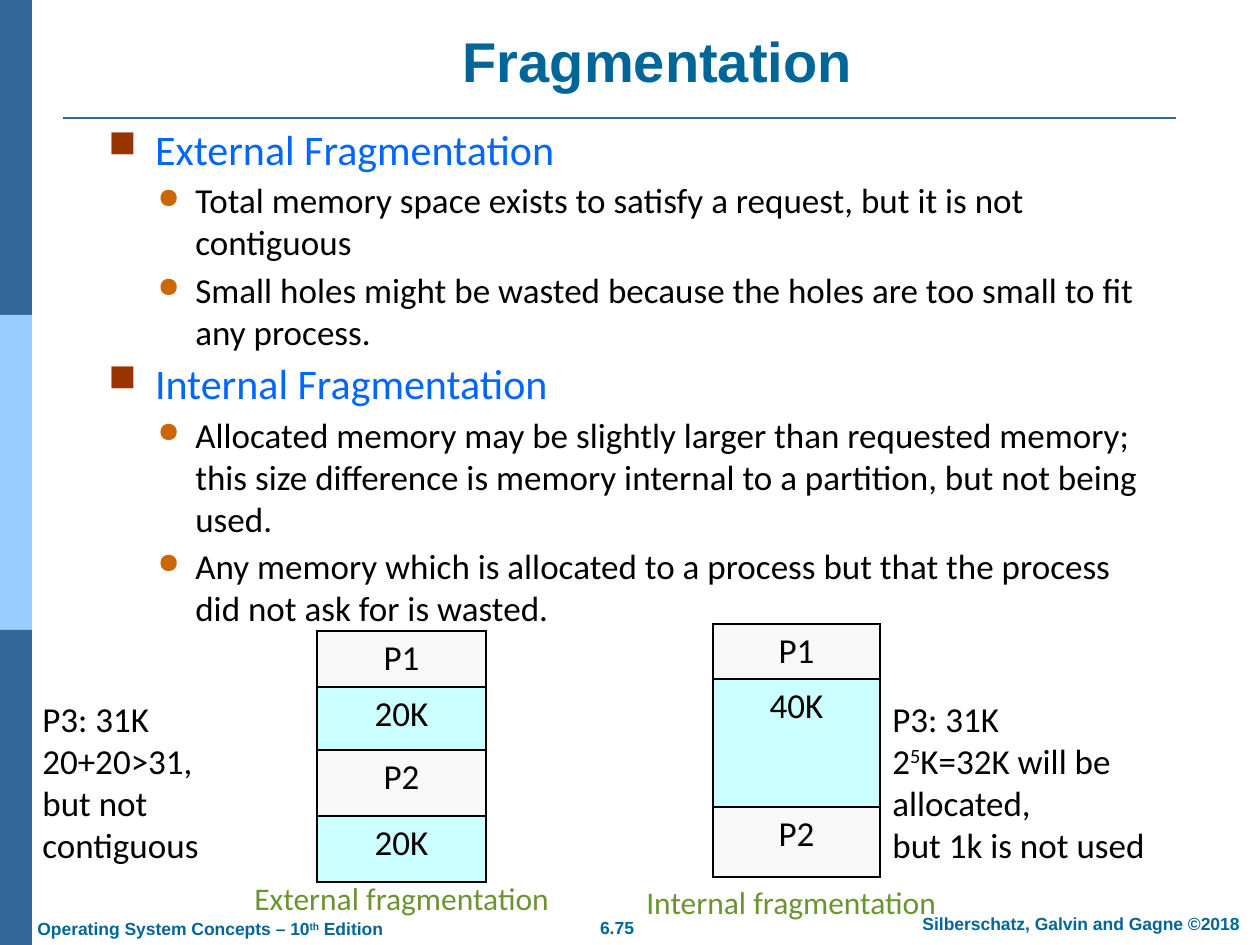
from dataclasses import dataclass

from lxml import etree
from pptx import Presentation
from pptx.dml.color import RGBColor
from pptx.enum import shapes, text
from pptx.oxml import ns
from pptx.util import Pt

PX = 914400 / 126
BLUE, TEAL, LINK = "336699", "006699", "0066FF"
BLACK, GREEN = "000000", "6A9432"
USED, FREE = "F8F8F8", "CCFFFF"
LEFT, MID = text.PP_ALIGN.LEFT, text.PP_ALIGN.CENTER


@dataclass
class Style:
    size: int
    color: str = BLACK
    face: str = "Calibri"
    bold: bool = False
    align: text.PP_ALIGN = LEFT


@dataclass
class Label:
    x: int
    y: int
    w: int
    h: int
    lines: list[str]
    style: Style
    anchor: text.MSO_ANCHOR = text.MSO_ANCHOR.TOP


@dataclass
class Level:
    left: float
    hang: float
    mark: str
    tint: str
    scale: int
    style: Style


@dataclass
class Memory:
    x: int
    y: int
    w: int
    cells: list[tuple[str, str, int]]


def px(n: float) -> int:
    return round(n * PX)


def rgb(code: str) -> RGBColor:
    return RGBColor.from_string(code)


def write(para, words: str, style: Style) -> None:
    """Fill a paragraph; parts between ^ marks are raised."""
    para.alignment = style.align
    font = para.font
    font.size, font.name, font.bold = Pt(style.size), style.face, style.bold
    font.color.rgb = rgb(style.color)
    for i, part in enumerate(words.split("^")):
        run = para.add_run()
        run.text = part
        if i % 2:
            run.font._element.set("baseline", "30000")


def frame(slide, x: int, y: int, w: int, h: int):
    body = slide.shapes.add_textbox(px(x), px(y), px(w), px(h)).text_frame
    body.word_wrap = True
    return body


def grow(body, i: int):
    return body.add_paragraph() if i else body.paragraphs[0]


def label(slide, item: Label) -> None:
    body = frame(slide, item.x, item.y, item.w, item.h)
    body.vertical_anchor = item.anchor
    for i, line in enumerate(item.lines):
        write(grow(body, i), line, item.style)


def bullet(para, level: Level) -> None:
    props = para._p.get_or_add_pPr()
    props.set("marL", str(round(level.left * 914400)))
    props.set("indent", str(round(-level.hang * 914400)))
    color = etree.SubElement(props, ns.qn("a:buClr"))
    etree.SubElement(color, ns.qn("a:srgbClr"), val=level.tint)
    etree.SubElement(props, ns.qn("a:buSzPct"), val=str(level.scale * 1000))
    etree.SubElement(props, ns.qn("a:buChar"), char=level.mark)


def edge(cell) -> None:
    props = cell._tc.get_or_add_tcPr()
    for i, side in enumerate(("lnL", "lnR", "lnT", "lnB")):
        line = etree.Element(ns.qn(f"a:{side}"), w=str(Pt(1)))
        fill = etree.SubElement(line, ns.qn("a:solidFill"))
        etree.SubElement(fill, ns.qn("a:srgbClr"), val=BLACK)
        props.insert(i, line)


def memory(slide, item: Memory) -> None:
    high = sum(h for _, _, h in item.cells)
    grid = slide.shapes.add_table(len(item.cells), 1, px(item.x), px(item.y),
                                  px(item.w), px(high)).table
    grid.first_row = grid.horz_banding = False
    for i, (name, color, h) in enumerate(item.cells):
        grid.rows[i].height = px(h)
        cell = grid.cell(i, 0)
        cell.fill.solid()
        cell.fill.fore_color.rgb = rgb(color)
        edge(cell)
        write(cell.text_frame.paragraphs[0], name, Style(20, align=MID))


HEAD = Level(0.37, 0.37, "■", "993300", 90, Style(24, LINK))
ITEM = Level(0.69, 0.3, "●", "CC6600", 80, Style(20))
POINTS = [
    (HEAD, "External Fragmentation"),
    (ITEM, "Total memory space exists to satisfy a request, but it is not contiguous"),
    (ITEM, "Small holes might be wasted because the holes are too small to fit any process."),
    (HEAD, "Internal Fragmentation"),
    (ITEM, "Allocated memory may be slightly larger than requested memory; this size "
           "difference is memory internal to a partition, but not being used."),
    (ITEM, "Any memory which is allocated to a process but that the process did not "
           "ask for is wasted."),
]
FOOT = Style(10, TEAL, "Arial", True)
FOOTMID = Style(10, TEAL, "Arial", True, MID)
NOTE, CAPTION = Style(20), Style(18, GREEN)
LABELS = [
    Label(118, 21, 1079, 79, ["Fragmentation"], Style(32, TEAL, "Arial", True, MID),
          text.MSO_ANCHOR.BOTTOM),
    Label(30, 691, 190, 181, ["P3: 31K", "20+20>31,", "but not contiguous"], NOTE),
    Label(880, 691, 300, 181,
          ["P3: 31K", "2^5^K=32K will be allocated,", "but 1k is not used"], NOTE),
    Label(242, 873, 330, 50, ["External fragmentation"], CAPTION),
    Label(634, 877, 330, 50, ["Internal fragmentation"], CAPTION),
    Label(25, 912, 377, 33, ["Operating System Concepts – 10^th^ Edition"], FOOT),
    Label(582, 911, 70, 34, ["6.75"], FOOTMID),
    Label(902, 907, 358, 34, ["Silberschatz, Galvin and Gagne ©2018"], FOOTMID),
]
MEMORIES = [
    Memory(317, 631, 169, [("P1", USED, 56), ("20K", FREE, 63),
                           ("P2", USED, 66), ("20K", FREE, 66)]),
    Memory(713, 624, 167, [("P1", USED, 55), ("40K", FREE, 128), ("P2", USED, 70)]),
]


def main() -> None:
    deck = Presentation()
    deck.slide_width, deck.slide_height = px(1260), px(945)
    slide = deck.slides.add_slide(deck.slide_layouts[6])

    # Side bar and title rule
    for i, color in enumerate((BLUE, "99CCFF", BLUE)):
        bar = slide.shapes.add_shape(shapes.MSO_SHAPE.RECTANGLE,
                                     0, px(315 * i), px(32), px(315))
        bar.shadow.inherit = False
        bar.fill.solid()
        bar.fill.fore_color.rgb = rgb(color)
        bar.line.fill.background()
    rule = slide.shapes.add_connector(shapes.MSO_CONNECTOR.STRAIGHT,
                                      px(63), px(118), px(1176), px(118))
    rule.line.color.rgb, rule.line.width = rgb(BLUE), Pt(1.5)
    etree.SubElement(rule._element.spPr, ns.qn("a:effectLst"))

    # Bulleted text
    body = frame(slide, 96, 117, 1076, 716)
    for i, (level, words) in enumerate(POINTS):
        para = grow(body, i)
        para.level = int(level is ITEM)
        bullet(para, level)
        if i:
            para.space_before = Pt(3)
        write(para, words, level.style)

    # Memory maps, notes, captions and footer
    for item in MEMORIES:
        memory(slide, item)
    for item in LABELS:
        label(slide, item)
    deck.save("out.pptx")


if __name__ == "__main__":
    main()
